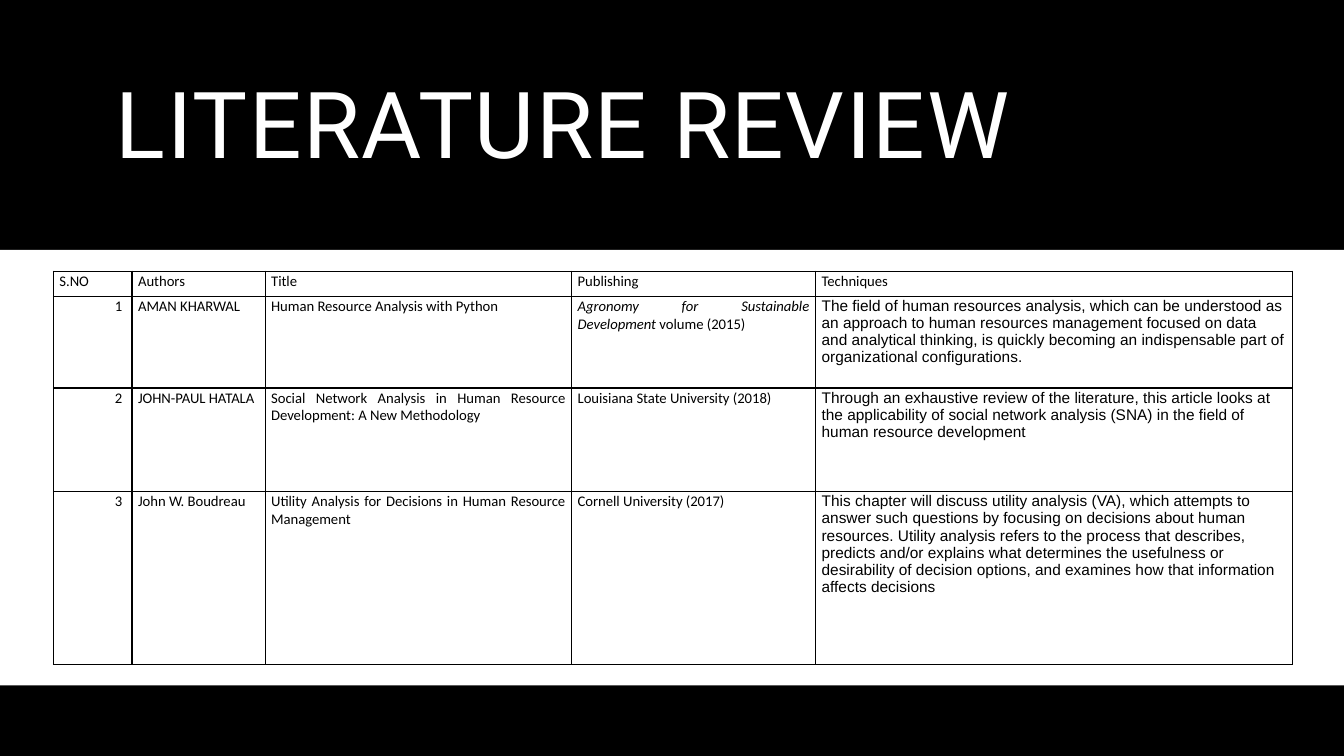
from dataclasses import dataclass

import pptx
import pptx.dml.color
import pptx.enum.shapes
import pptx.enum.text
import pptx.oxml
import pptx.oxml.ns
import pptx.util

Inches = pptx.util.Inches
Pt = pptx.util.Pt
ALIGN = pptx.enum.text.PP_ALIGN


@dataclass(frozen=True)
class Theme:
    black: str = "000000"
    white: str = "FFFFFF"
    title_font: str = "Roboto"
    table_font: str = "Calibri"
    technique_font: str = "Arial"
    title_size: float = 66
    table_size: float = 10.5
    technique_size: float = 11
    border_width: float = 1


THEME = Theme()
PAGE_WIDTH, PAGE_HEIGHT = 13.33, 7.5
COLUMN_WIDTHS = [0.78, 1.32, 3.04, 2.42, 4.73]
ROW_HEIGHTS = [0.25, 0.91, 1.03, 1.71]
NUMBER_INDENT = 0.55
HEADINGS = ["S.NO", "Authors", "Title", "Publishing", "Techniques"]
STUDIES = [
    ["1", "AMAN KHARWAL", "Human Resource Analysis with Python",
     [("Agronomy for Sustainable Development", True), (" volume (2015)", False)],
     "The field of human resources analysis, which can be understood as an approach to "
     "human resources management focused on data and analytical thinking, is quickly "
     "becoming an indispensable part of organizational configurations."],
    ["2", "JOHN-PAUL HATALA",
     "Social Network Analysis in Human Resource Development: A New Methodology",
     "Louisiana State University (2018)",
     "Through an exhaustive review of the literature, this article looks at the "
     "applicability of social network analysis (SNA) in the field of human resource "
     "development"],
    ["3", "John W. Boudreau",
     "Utility Analysis for Decisions in Human Resource Management",
     "Cornell University (2017)",
     "This chapter will discuss utility analysis (VA), which attempts to answer such "
     "questions by focusing on decisions about human resources. Utility analysis refers "
     "to the process that describes, predicts and/or explains what determines the "
     "usefulness or desirability of decision options, and examines how that information "
     "affects decisions"],
]


def rgb(color):
    return pptx.dml.color.RGBColor.from_string(color)


def write_text(frame, text, *, font, size, color, align=ALIGN.LEFT,
               space_before=0, line_spacing=None, indent=0, tracking=0):
    """Fill the first paragraph; text is a string or a list of (text, italic)."""
    para = frame.paragraphs[0]
    para.alignment = align
    para.space_before = Pt(space_before)
    if line_spacing:
        para.line_spacing = line_spacing
    spans = [(text, False)] if isinstance(text, str) else text
    for words, italic in spans:
        span = para.add_run()
        span.text = words
        span.font.name = font
        span.font.size = Pt(size)
        span.font.italic = italic
        span.font.color.rgb = rgb(color)
        if tracking:
            span._r.get_or_add_rPr().set("spc", str(round(tracking * 100)))
    if indent:
        properties = para._p.get_or_add_pPr()
        properties.set("marL", str(Inches(indent)))
        properties.set("indent", "0")


def add_panel(page, top, height, color):
    panel = page.shapes.add_shape(
        pptx.enum.shapes.MSO_SHAPE.RECTANGLE,
        0, Inches(top), Inches(PAGE_WIDTH), Inches(height))
    panel.shadow.inherit = False
    panel.fill.solid()
    panel.fill.fore_color.rgb = rgb(color)
    panel.line.fill.background()
    return panel


def format_title(title, text):
    title.left, title.top = Inches(1.05), Inches(0.35)
    title.width, title.height = Inches(11.23), Inches(1.86)
    title.text_frame.word_wrap = True
    title.text_frame.vertical_anchor = pptx.enum.text.MSO_ANCHOR.MIDDLE
    write_text(title.text_frame, text, font=THEME.title_font, size=THEME.title_size,
               color=THEME.white, line_spacing=0.9, tracking=1.2)


def set_borders(cell):
    properties = cell._tc.get_or_add_tcPr()
    for position, side in enumerate("LRTB"):
        border = pptx.oxml.parse_xml(
            f'<a:ln{side} {pptx.oxml.ns.nsdecls("a")} w="{Pt(THEME.border_width)}">'
            f'<a:solidFill><a:srgbClr val="{THEME.black}"/></a:solidFill></a:ln{side}>')
        properties.insert(position, border)


def format_cell(cell, text, is_number, is_technique):
    cell.margin_left = cell.margin_right = Inches(0.06)
    cell.margin_top, cell.margin_bottom = Inches(0.01), 0
    cell.fill.solid()
    cell.fill.fore_color.rgb = rgb(THEME.white)
    set_borders(cell)
    if is_technique:
        write_text(cell.text_frame, text, font=THEME.technique_font,
                   size=THEME.technique_size, color=THEME.black)
    else:
        write_text(cell.text_frame, text, font=THEME.table_font,
                   size=THEME.table_size, color=THEME.black, align=ALIGN.JUSTIFY,
                   space_before=8, indent=NUMBER_INDENT if is_number else 0)


def add_review_table(page):
    rows = [HEADINGS] + STUDIES
    table = page.shapes.add_table(
        len(rows), len(HEADINGS), Inches(0.53), Inches(2.69),
        Inches(sum(COLUMN_WIDTHS)), Inches(sum(ROW_HEIGHTS))).table
    table.first_row = table.horz_banding = False
    for column, width in zip(table.columns, COLUMN_WIDTHS):
        column.width = Inches(width)
    for row, height in zip(table.rows, ROW_HEIGHTS):
        row.height = Inches(height)
    last = len(HEADINGS) - 1
    for row_index, texts in enumerate(rows):
        for column_index, text in enumerate(texts):
            format_cell(table.cell(row_index, column_index), text,
                        is_number=row_index > 0 and column_index == 0,
                        is_technique=row_index > 0 and column_index == last)


def main():
    deck = pptx.Presentation()
    deck.slide_width, deck.slide_height = Inches(PAGE_WIDTH), Inches(PAGE_HEIGHT)
    page = deck.slides.add_slide(deck.slide_layouts[5])
    title = page.shapes.title
    backdrop = add_panel(page, 0, PAGE_HEIGHT, THEME.black)
    title.element.addprevious(backdrop.element)  # the title lies on the backdrop
    format_title(title, "LITERATURE REVIEW")
    add_panel(page, 2.48, 4.32, THEME.white)
    add_review_table(page)
    deck.save("out.pptx")


if __name__ == "__main__":
    main()
